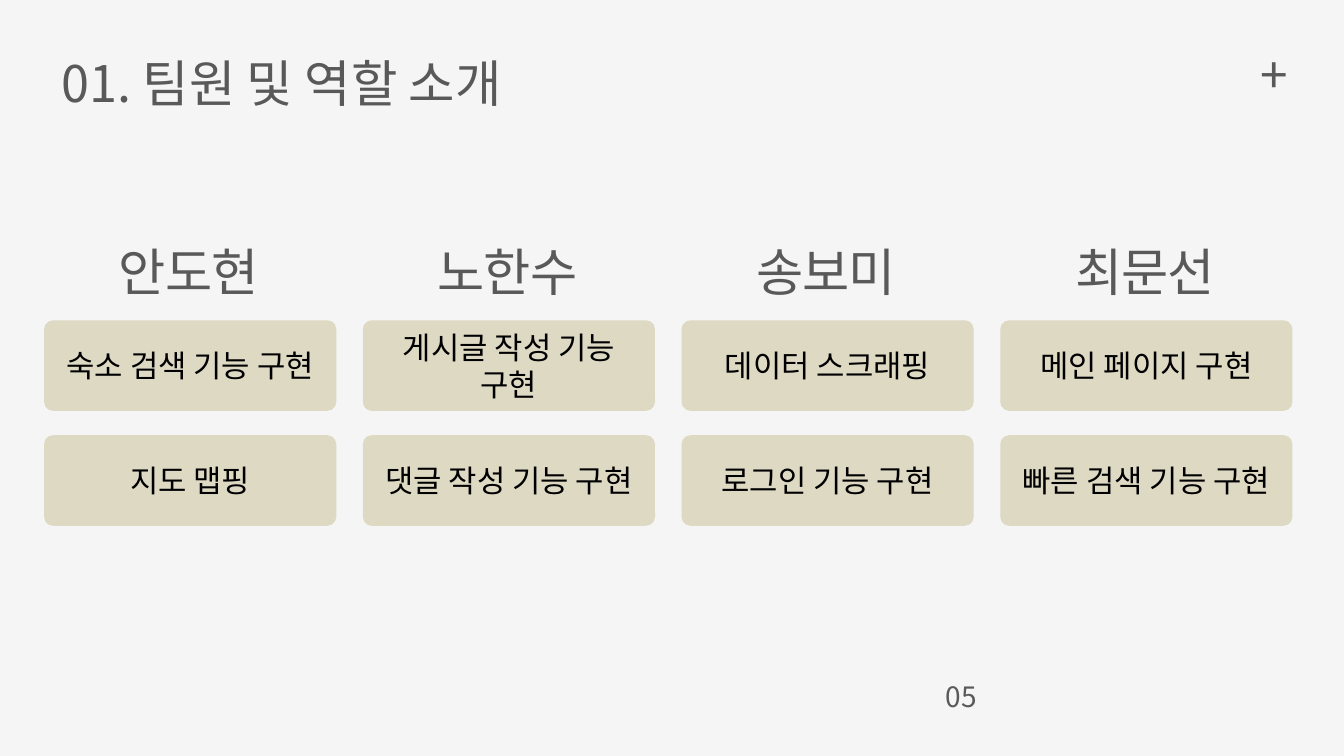
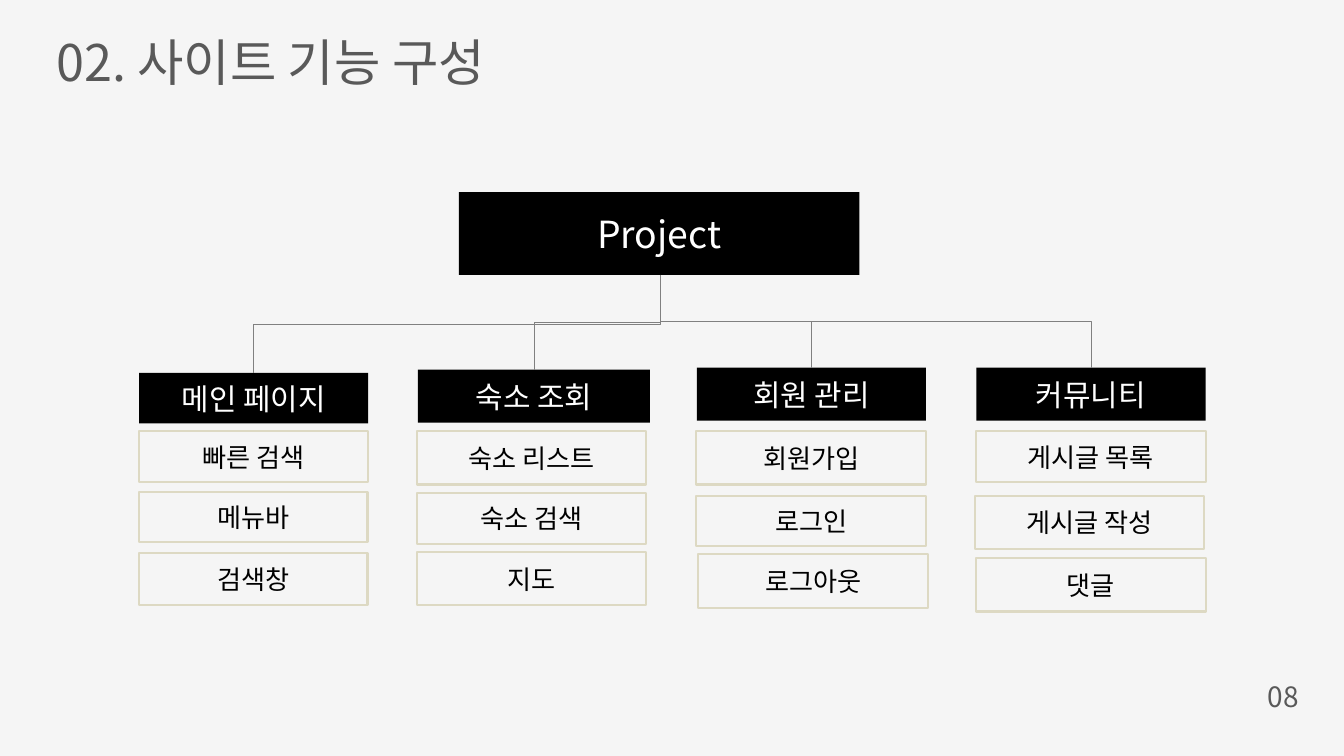
from lxml import etree
from pptx import Presentation
from pptx.dml.color import RGBColor
from pptx.enum import shapes, text
from pptx.oxml import ns
from pptx.util import Inches, Pt

FONT = "Noto Sans CJK KR"
PAPER = RGBColor(0xF5, 0xF5, 0xF5)
GREY = RGBColor(0x59, 0x59, 0x59)
LINE_GREY = RGBColor(0x80, 0x80, 0x80)
BEIGE = RGBColor(0xDD, 0xD9, 0xC3)
BLACK = RGBColor(0x00, 0x00, 0x00)
WHITE = RGBColor(0xFF, 0xFF, 0xFF)
CENTER, JUSTIFY = text.PP_ALIGN.CENTER, text.PP_ALIGN.JUSTIFY
RECT, ROUND = shapes.MSO_SHAPE.RECTANGLE, shapes.MSO_SHAPE.ROUNDED_RECTANGLE


def write(sp, words, size, color, align=CENTER):
    tf = sp.text_frame
    tf.word_wrap = True
    p = tf.paragraphs[0]
    p.text = words
    p.alignment = align
    p.font.size = Pt(size)
    p.font.name = FONT
    p.font.color.rgb = color
    etree.SubElement(p.font._element, ns.qn("a:ea"), typeface=FONT)
    return p


def add_box(s, kind, at, words, size, color, fill=None, line=None, weight=2):
    sp = s.shapes.add_shape(kind, *map(Inches, at))
    sp.shadow.inherit = False
    if fill is None:
        sp.fill.background()
    else:
        sp.fill.solid()
        sp.fill.fore_color.rgb = fill
    if line is None:
        sp.line.fill.background()
    else:
        sp.line.color.rgb = line
        sp.line.width = Pt(weight)
    sp.text_frame.vertical_anchor = text.MSO_ANCHOR.MIDDLE
    write(sp, words, size, color)
    return sp


prs = Presentation()
prs.slide_width, prs.slide_height = Inches(20), Inches(11.25)

slides = []
for title, title_at, number, number_left in [
    ("01. 팀원 및 역할 소개", (0.82, 0.73, 11.19, 1.58), "05", 13.71),
    ("02. 사이트 기능 구성", (0.74, 0.42, 11.19, 1.23), "08", 18.5),
]:
    s = prs.slides.add_slide(prs.slide_layouts[6])
    s.background.fill.solid()
    s.background.fill.fore_color.rgb = PAPER
    write(s.shapes.add_textbox(*map(Inches, title_at)), title, 54, GREY, JUSTIFY)
    number_at = (number_left, 10.06, 1.19, 0.75)
    write(s.shapes.add_textbox(*map(Inches, number_at)), number, 30, GREY)
    slides.append(s)
team, sitemap = slides

write(team.shapes.add_textbox(*map(Inches, (18.56, 0.6, 0.81, 1.34))), "+", 53, GREY)
members = [
    ("안도현", ["숙소 검색 기능 구현", "지도 맵핑"]),
    ("노한수", ["게시글 작성 기능 구현", "댓글 작성 기능 구현"]),
    ("송보미", ["데이터 스크래핑", "로그인 기능 구현"]),
    ("최문선", ["메인 페이지 구현", "빠른 검색 기능 구현"]),
]
for col, (name, roles) in enumerate(members):
    left = 0.67 + col * 4.743
    name_at = (left + 1, 3.52, 3.52, 0.86)
    p = write(team.shapes.add_textbox(*map(Inches, name_at)), name, 55, GREY, JUSTIFY)
    p.font._element.set("spc", "-100")
    for row, role in enumerate(roles):
        role_at = (left, 4.78 + row * 1.71, 4.32, 1.32)
        sp = add_box(team, ROUND, role_at, role, 33, BLACK, BEIGE, BEIGE)
        sp.adjustments[0] = 0.091

add_box(sitemap, RECT, (6.83, 2.86, 5.96, 1.23), "Project", 40, WHITE, BLACK)
root_x, root_bottom = 9.82, 4.09
sections = [
    ("메인 페이지", (2.07, 5.55, 3.41, 0.75), [
        ("빠른 검색", (2.07, 6.42, 3.41, 0.75)),
        ("메뉴바", (2.07, 7.32, 3.4, 0.75)),
        ("검색창", (2.07, 8.23, 3.4, 0.78))]),
    ("숙소 조회", (6.22, 5.5, 3.45, 0.79), [
        ("숙소 리스트", (6.21, 6.42, 3.4, 0.79)),
        ("숙소 검색", (6.21, 7.34, 3.4, 0.75)),
        ("지도", (6.21, 8.21, 3.4, 0.8))]),
    ("회원 관리", (10.37, 5.47, 3.41, 0.79), [
        ("회원가입", (10.36, 6.42, 3.42, 0.79)),
        ("로그인", (10.36, 7.38, 3.42, 0.75)),
        ("로그아웃", (10.39, 8.25, 3.42, 0.8))]),
    ("커뮤니티", (14.53, 5.47, 3.41, 0.79), [
        ("게시글 목록", (14.52, 6.42, 3.42, 0.75)),
        ("게시글 작성", (14.51, 7.38, 3.41, 0.79)),
        ("댓글", (14.52, 8.31, 3.42, 0.79))]),
]
for heading, heading_at, features in sections:
    add_box(sitemap, RECT, heading_at, heading, 32, WHITE, BLACK)
    for feature, feature_at in features:
        add_box(sitemap, RECT, feature_at, feature, 28, BLACK, line=BEIGE, weight=2.25)

    left, top, width, _ = heading_at
    end_x = left + width / 2
    mid_x, mid_y = (root_x + end_x) / 2, (root_bottom + top) / 2
    half_drop, half_span = (top - root_bottom) / 2, abs(end_x - root_x) / 2
    side = 1 if end_x < root_x else -1
    line = sitemap.shapes.add_connector(
        shapes.MSO_CONNECTOR.ELBOW,
        Inches(mid_x - side * half_drop), Inches(mid_y - half_span),
        Inches(mid_x + side * half_drop), Inches(mid_y + half_span))
    line.line.color.rgb = LINE_GREY
    line.line.width = Pt(0.75)
    spPr = line._element.spPr
    spPr.find(ns.qn("a:xfrm")).set("rot", str((90 if side == 1 else 270) * 60000))
    etree.SubElement(spPr, ns.qn("a:effectLst"))

prs.save("out.pptx")
